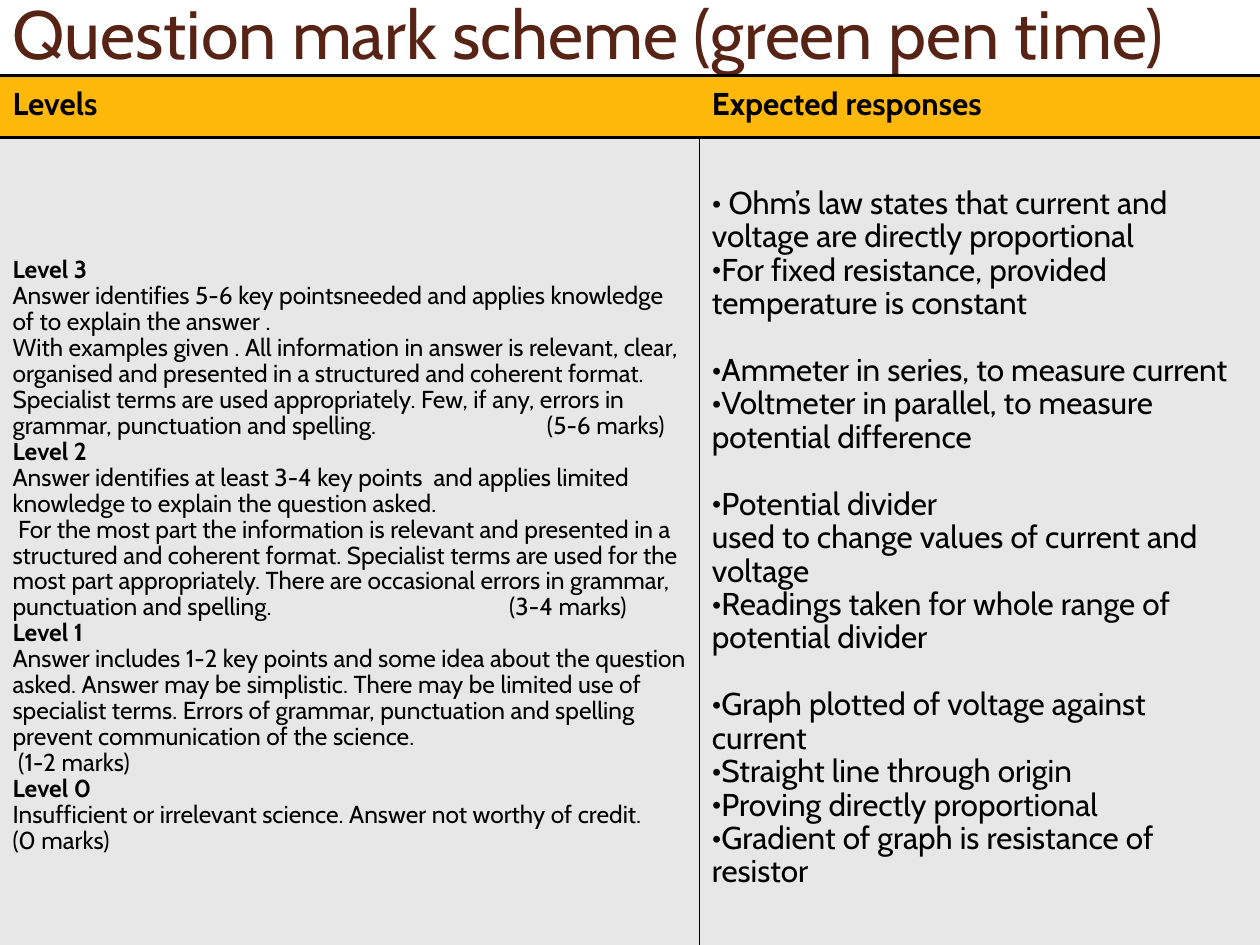
from dataclasses import dataclass

from lxml import etree
from pptx import Presentation
from pptx import util as u
from pptx.dml.color import RGBColor
from pptx.enum import text
from pptx.oxml import ns

FONT = "Cabin"
BLACK, BROWN, AMBER, GREY = "000000", "572314", "FEB80A", "E7E7E7"
NO_STYLE = "{2D5ABB26-0587-4C30-8999-92F81FD0307C}"
BLANK_LINE = 19.1  # height in points of one 18 pt line


@dataclass
class Line:
    words: str
    size: float = 18
    bold: bool = False
    bullet: bool = False
    gap: float = 0  # points above
    tab: float = 0  # inches from the text edge


@dataclass
class Panel:
    row: int
    column: int
    fill: str
    lines: list
    borders: dict  # side -> width in points
    bottom: float = 0.05  # inches below the text


def colour(value: str) -> RGBColor:
    return RGBColor.from_string(value)


def apply(target, values: dict) -> None:
    for name, value in values.items():
        setattr(target, name, value)


def style_run(run, size: float, value: str, bold: bool = False) -> None:
    apply(run.font, {"name": FONT, "size": u.Pt(size), "bold": bold})
    run.font.color.rgb = colour(value)


def add(parent, tag: str, **attributes: str):
    return etree.SubElement(parent, ns.qn(tag), attributes)


def write_line(paragraph, line: Line) -> None:
    apply(paragraph, {"line_spacing": 0.87, "space_before": u.Pt(line.gap)})
    run = paragraph.add_run()
    run.text = line.words
    style_run(run, line.size, BLACK, line.bold)
    properties = paragraph._p.get_or_add_pPr()
    if line.bullet:
        for name in ("marL", "indent"):
            properties.set(name, "0")
        add(add(properties, "a:buClr"), "a:srgbClr", val=BLACK)
        add(properties, "a:buFont", typeface=FONT)
        add(properties, "a:buChar", char="•")
    if line.tab:
        stops = add(properties, "a:tabLst")
        add(stops, "a:tab", pos=str(u.Inches(line.tab)), algn="l")


def draw_panel(table, panel: Panel) -> None:
    cell = table.cell(panel.row, panel.column)
    apply(cell, {
        "vertical_anchor": text.MSO_ANCHOR.MIDDLE,
        "margin_left": u.Inches(0.1), "margin_right": u.Inches(0.1),
        "margin_top": u.Inches(0.03), "margin_bottom": u.Inches(panel.bottom),
    })
    properties = cell._tc.get_or_add_tcPr()
    for side in "LRTB":
        if side in panel.borders:
            edge = add(properties, f"a:ln{side}", w=str(u.Pt(panel.borders[side])))
            add(add(edge, "a:solidFill"), "a:srgbClr", val=BLACK)
    cell.fill.solid()
    cell.fill.fore_color.rgb = colour(panel.fill)
    frame = cell.text_frame
    for index, line in enumerate(panel.lines):
        write_line(frame.add_paragraph() if index else frame.paragraphs[0], line)


def heading(words: str) -> Line:
    return Line(words, 14, bold=True)


def detail(words: str, tab: float = 0) -> Line:
    return Line(words, 14, tab=tab)


def point(words: str, gap: float = 0) -> Line:
    return Line(words, bullet=True, gap=gap)


levels = [
    heading("Level 3"),
    detail("Answer identifies 5-6 key pointsneeded and applies knowledge of to "
           "explain the answer ."),
    detail("With examples given . All information in answer is relevant, clear, "
           "organised and presented in a structured and coherent format. Specialist "
           "terms are used appropriately. Few, if any, errors in grammar, "
           "punctuation and spelling.\t(5-6 marks)", tab=4.24),
    heading("Level 2"),
    detail("Answer identifies at least 3-4 key points  and applies limited "
           "knowledge to explain the question asked."),
    detail(" For the most part the information is relevant and presented in a "
           "structured and coherent format. Specialist terms are used for the most "
           "part appropriately. There are occasional errors in grammar, "
           "punctuation and spelling.\t(3-4 marks)", tab=3.94),
    heading("Level 1"),
    detail("Answer includes 1-2 key points and some idea about the question asked. "
           "Answer may be simplistic. There may be limited use of specialist terms. "
           "Errors of grammar, punctuation and spelling prevent communication of "
           "the science."),
    detail(" (1-2 marks)"),
    heading("Level 0"),
    detail("Insufficient or irrelevant science. Answer not worthy of credit."),
    detail("(0 marks)"),
]
responses = [
    point(" Ohm’s law states that current and voltage are directly proportional"),
    point("For fixed resistance, provided temperature is constant"),
    point("Ammeter in series, to measure current", BLANK_LINE),
    point("Voltmeter in parallel, to measure potential difference"),
    point("Potential divider", BLANK_LINE),
    Line("used to change values of current and voltage"),
    point("Readings taken for whole range of potential divider"),
    point("Graph plotted of voltage against current", BLANK_LINE),
    point("Straight line through origin"),
    point("Proving directly proportional"),
    point("Gradient of graph is resistance of resistor"),
]
rules = {"T": 2, "B": 2}
panels = [
    Panel(0, 0, AMBER, [Line("Levels", bold=True)], rules),
    Panel(0, 1, AMBER, [Line("Expected responses", bold=True)], rules),
    Panel(1, 0, GREY, levels, {**rules, "R": 1}, bottom=0.25),
    Panel(1, 1, GREY, responses, {**rules, "L": 1}, bottom=0.53),
]

deck = Presentation()
apply(deck, {"slide_width": u.Inches(10), "slide_height": u.Inches(7.5)})
slide = deck.slides.add_slide(deck.slide_layouts[5])

# Title
title = slide.shapes.title
apply(title, {"left": u.Inches(0), "top": u.Inches(-0.12),
              "width": u.Inches(10), "height": u.Inches(0.75)})
apply(title.text_frame, {"word_wrap": True, "auto_size": text.MSO_AUTO_SIZE.NONE,
                         "vertical_anchor": text.MSO_ANCHOR.MIDDLE})
title_line = title.text_frame.paragraphs[0]
title_line.alignment = text.PP_ALIGN.LEFT
title_run = title_line.add_run()
title_run.text = "Question mark scheme (green pen time)"
style_run(title_run, 39, BROWN)

# Mark scheme
scheme = slide.shapes.add_table(2, 2, u.Inches(0), u.Inches(0.6),
                                u.Inches(10), u.Inches(7.36)).table
apply(scheme, {"first_row": False, "horz_banding": False})
scheme._tbl.tblPr.find(ns.qn("a:tableStyleId")).text = NO_STYLE
for column, width in zip(scheme.columns, (5.55, 4.45)):
    column.width = u.Inches(width)
for row, height in zip(scheme.rows, (0.49, 6.87)):
    row.height = u.Inches(height)
for panel in panels:
    draw_panel(scheme, panel)

deck.save("out.pptx")
